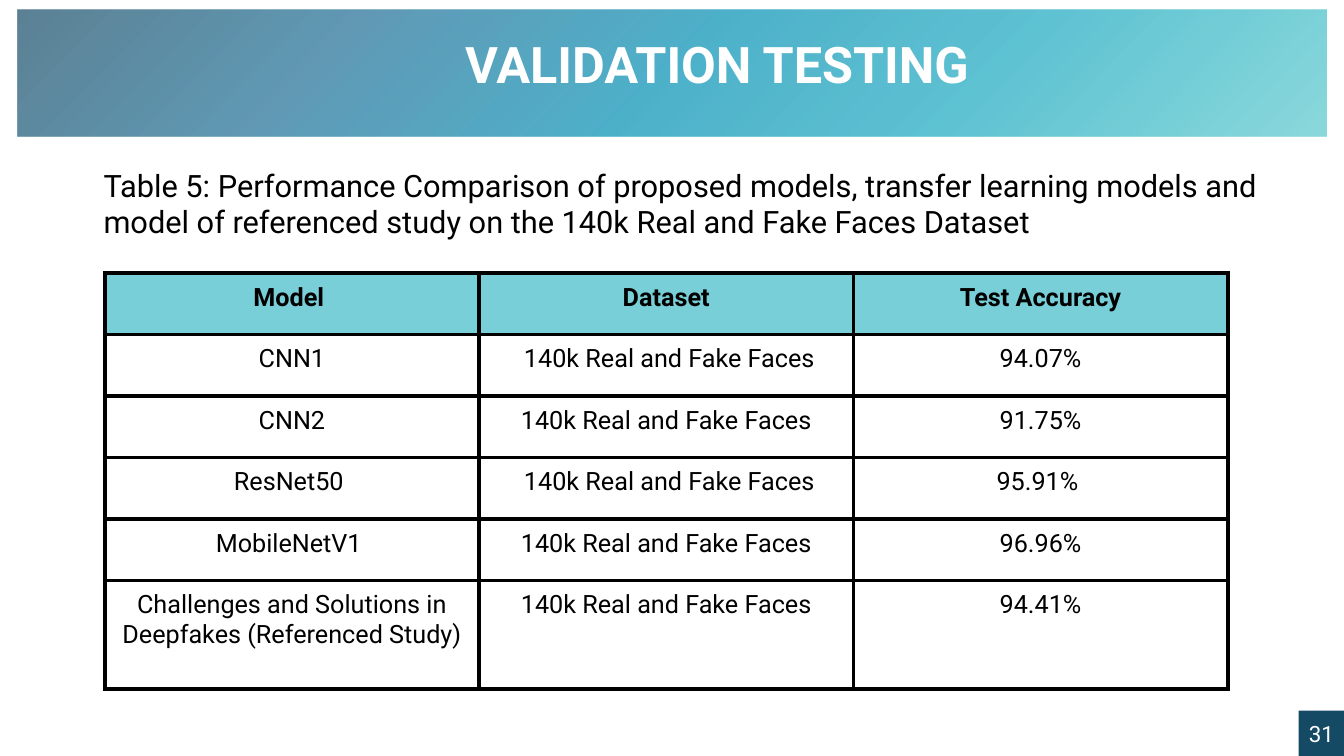
from lxml import etree
from pptx import Presentation
from pptx.dml.color import RGBColor
from pptx.enum.shapes import MSO_SHAPE
from pptx.enum.text import MSO_ANCHOR, MSO_AUTO_SIZE, PP_ALIGN
from pptx.oxml.ns import qn
from pptx.util import Cm, Pt

RECTANGLE = MSO_SHAPE.RECTANGLE
CENTER, LEFT = PP_ALIGN.CENTER, PP_ALIGN.LEFT
TOP, MIDDLE, BOTTOM = MSO_ANCHOR.TOP, MSO_ANCHOR.MIDDLE, MSO_ANCHOR.BOTTOM
NO_AUTOFIT = MSO_AUTO_SIZE.NONE

FONT = "Roboto"
BLACK, WHITE, NAVY, AQUA = "000000", "FFFFFF", "154A65", "78CFD8"
BANNER_COLORS = ["59C8CC", "1DABC0", "018FB3", "1C6E96", NAVY]
BANNER_OPACITY = 69
INSET = 0.25
BORDER_SIDES = ("a:lnL", "a:lnR", "a:lnT", "a:lnB")

DATASET = "140k Real and Fake Faces"
CAPTION = [
    "Table 5: ",
    "Performance Comparison of proposed models, transfer learning models and "
    "model of referenced study on the 140k Real and Fake Faces Dataset",
]
RESULTS = [
    ("Model ", "Dataset", "Test Accuracy"),
    ("CNN1", " " + DATASET, "94.07%"),
    ("CNN2", DATASET, "91.75%"),
    ("ResNet50 ", " " + DATASET, "95.91% "),
    ("MobileNetV1 ", DATASET, " 96.96% "),
    ("Challenges and Solutions in Deepfakes (Referenced Study)", DATASET, "94.41%"),
]
ROW_HEIGHTS = [1.55] * 5 + [2.74]


def rgb(hex_color):
    """Turn a hex string into a colour."""
    return RGBColor.from_string(hex_color)


def lengths(box):
    """Turn a box in centimetres into lengths."""
    return [Cm(value) for value in box]


def write(frame, runs, size, color=BLACK, bold=False, align=LEFT):
    """Add the runs to the first paragraph of a text frame."""
    paragraph = frame.paragraphs[0]
    paragraph.alignment = align
    for words in runs:
        run = paragraph.add_run()
        run.text = words
        run.font.name = FONT
        run.font.size = Pt(size)
        run.font.bold = bold
        run.font.color.rgb = rgb(color)


def lay_out(frame, side, end, anchor):
    """Set wrapping, insets and anchor of a text frame."""
    frame.word_wrap = True
    frame.auto_size = NO_AUTOFIT
    frame.margin_left = frame.margin_right = Cm(side)
    frame.margin_top = frame.margin_bottom = Cm(end)
    frame.vertical_anchor = anchor


def add_rectangle(slide, box):
    """Add a rectangle without outline or shadow."""
    rectangle = slide.shapes.add_shape(RECTANGLE, *lengths(box))
    rectangle.shadow.inherit = False
    rectangle.line.fill.background()
    return rectangle


def add_banner(slide, box):
    """Draw the gradient banner with the slide title on it."""
    left, top, width, height = box
    banner = add_rectangle(slide, box)
    banner.fill.gradient()
    banner.fill.gradient_angle = 135
    stops = banner.element.spPr.find(".//" + qn("a:gsLst"))
    for stop in list(stops):
        stops.remove(stop)
    step = 100000 // (len(BANNER_COLORS) - 1)
    for index, color in enumerate(BANNER_COLORS):
        stop = etree.SubElement(stops, qn("a:gs"), pos=str(index * step))
        tint = etree.SubElement(stop, qn("a:srgbClr"), val=color)
        etree.SubElement(tint, qn("a:alpha"), val=str(BANNER_OPACITY * 1000))

    title = slide.shapes.title
    title.element.addprevious(banner.element)
    title.left, title.top, title.width, title.height = lengths(
        (left + 4.76, top + 0.51, width - 7.24, height - 1.45)
    )
    lay_out(title.text_frame, 0, 0.13, BOTTOM)
    write(title.text_frame, ["VALIDATION TESTING"], 36, WHITE, True, CENTER)


def add_caption(slide, box):
    """Write the caption above the table."""
    frame = slide.shapes.add_textbox(*lengths(box)).text_frame
    lay_out(frame, INSET, INSET, TOP)
    write(frame, CAPTION, 22)


def add_borders(cell):
    """Give a cell solid borders on all sides."""
    properties = cell._tc.get_or_add_tcPr()
    for side in BORDER_SIDES:
        line = etree.SubElement(properties, qn(side), w=str(Pt(3)))
        fill = etree.SubElement(line, qn("a:solidFill"))
        etree.SubElement(fill, qn("a:srgbClr"), val=BLACK)


def add_results(slide, box):
    """Build the table of test accuracies."""
    table = slide.shapes.add_table(len(RESULTS), len(RESULTS[0]), *lengths(box)).table
    table.first_row = table.horz_banding = False
    for row, height in zip(table.rows, ROW_HEIGHTS):
        row.height = Cm(height)
    for row_index, record in enumerate(RESULTS):
        is_header = row_index == 0
        for column_index, words in enumerate(record):
            cell = table.cell(row_index, column_index)
            cell.margin_left = cell.margin_right = Cm(INSET)
            cell.margin_top = cell.margin_bottom = Cm(INSET)
            add_borders(cell)
            if is_header:
                cell.fill.solid()
                cell.fill.fore_color.rgb = rgb(AQUA)
            else:
                cell.fill.background()
            write(cell.text_frame, [words], 18, bold=is_header, align=CENTER)


def add_page_number(slide, box):
    """Draw the corner square with the page number."""
    corner = add_rectangle(slide, box)
    corner.fill.solid()
    corner.fill.fore_color.rgb = rgb(NAVY)
    lay_out(corner.text_frame, 0, 0, MIDDLE)
    write(corner.text_frame, ["31"], 16, WHITE, align=CENTER)


def main():
    """Build the slide and save it."""
    presentation = Presentation()
    presentation.slide_width, presentation.slide_height = Cm(33.87), Cm(19.05)
    slide = presentation.slides.add_slide(presentation.slide_layouts[5])
    add_banner(slide, (0.45, 0.25, 32.97, 3.18))
    add_caption(slide, (2.36, 3.94, 30.02, 2.39))
    add_results(slide, (2.64, 6.88, 28.3, sum(ROW_HEIGHTS)))
    add_page_number(slide, (32.73, 17.91, 1.14, 1.14))
    presentation.save("out.pptx")


if __name__ == "__main__":
    main()
